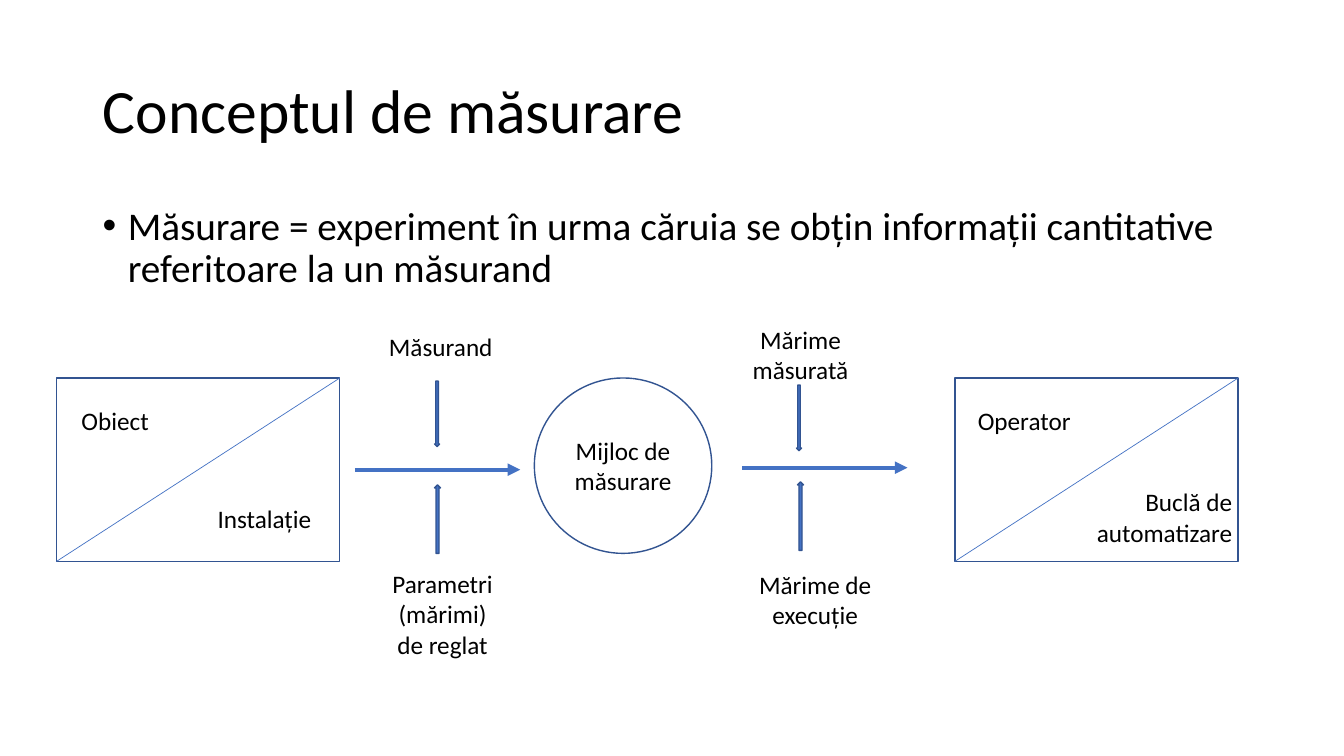
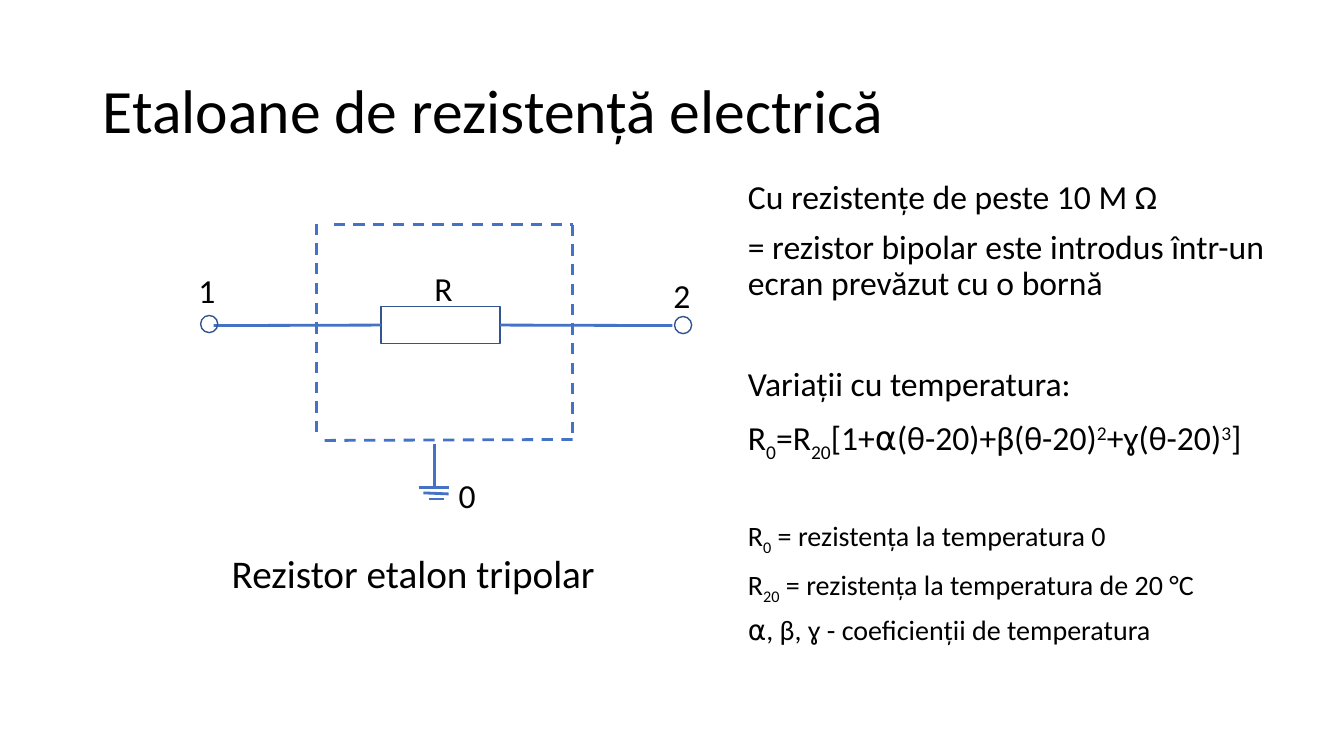
"""Build two slides on the concept of measurement and on resistance standards."""
from lxml import etree
from pptx import Presentation
from pptx.dml.color import RGBColor
from pptx.enum.dml import MSO_LINE
from pptx.enum.shapes import MSO_CONNECTOR, MSO_SHAPE
from pptx.enum.text import MSO_ANCHOR, MSO_AUTO_SIZE, PP_ALIGN
from pptx.oxml.ns import qn
from pptx.util import Inches, Pt

FONT, BLACK, BLUE, DARK_BLUE = "Calibri", "000000", "4472C4", "325491"
LEFT, CENTER, RIGHT = PP_ALIGN.LEFT, PP_ALIGN.CENTER, PP_ALIGN.RIGHT
TITLE_BOX = (0.92, 0.4, 11.5, 1.45)
BODY = {"line_spacing": 0.9}

CONCEPT_TITLE = "Conceptul de măsurare"
DEFINITION = ("Măsurare = experiment în urma căruia se obțin informații cantitative "
              "referitoare la un măsurand")
BLOCK_LEFTS, BLOCK_TOP, BLOCK_SIZE = (0.56, 9.47), 3.75, (2.81, 1.82)
INSTRUMENT = ((5.3, 3.75, 1.76, 1.74), ["Mijloc de", "măsurare"])
FLOWS = [(3.52, 4.66), (7.36, 4.64)]
FLOW_LENGTH = 1.64
CONCEPT_LABELS = [
    ((0.71, 3.97, 0.88, 0.4), ["Obiect"], LEFT),
    ((2.06, 4.94, 1.14, 0.4), ["Instalație"], LEFT),
    ((3.76, 3.24, 1.24, 0.4), ["Măsurand"], LEFT),
    ((7.36, 3.17, 1.16, 0.71), ["Mărime", "măsurată"], CENTER),
    ((3.76, 5.59, 1.26, 1.01), ["Parametri", "(mărimi)", "de reglat"], CENTER),
    ((7.39, 5.6, 1.39, 0.71), ["Mărime de", "execuție"], CENTER),
    ((9.6, 3.97, 1.13, 0.4), ["Operator"], LEFT),
    ((10.7, 4.78, 1.62, 0.71), ["Buclă de", "automatizare"], RIGHT),
]
SMALL_ARROWS = [
    (MSO_SHAPE.DOWN_ARROW, (4.31, 3.78, 0.05, 0.65)),
    (MSO_SHAPE.DOWN_ARROW, (7.9, 3.82, 0.05, 0.65)),
    (MSO_SHAPE.UP_ARROW, (4.31, 4.81, 0.06, 0.68)),
    (MSO_SHAPE.UP_ARROW, (7.91, 4.78, 0.06, 0.68)),
]

STANDARD_TITLE = "Etaloane de rezistență electrică"
RESISTOR = (3.78, 3.04, 1.18, 0.37)
WIRES = [((2.12, 3.23), (3.78, 3.23), 1), ((6.67, 3.23), (4.96, 3.23), 3)]
TERMINALS, TERMINAL_SIZE = [(1.99, 3.13), (6.69, 3.14)], 0.17
SCREEN = [
    ((3.14, 2.22), (3.14, 4.36)),
    ((5.68, 2.23), (5.68, 4.37)),
    ((5.68, 4.36), (3.14, 4.37)),
    ((3.31, 2.23), (5.68, 2.23)),
]
GROUND = [
    ((4.31, 4.4), (4.31, 4.83)),
    ((4.16, 4.84), (4.45, 4.84)),
    ((4.2, 4.89), (4.45, 4.9)),
    ((4.25, 4.95), (4.4, 4.95)),
]
CIRCUIT_LABELS = [
    ((4.21, 2.61, 0.57, 0.5), "R", 24),
    ((1.87, 2.63, 0.57, 0.5), "1", 24),
    ((6.58, 2.68, 0.57, 0.5), "2", 24),
    ((4.45, 4.66, 0.57, 0.5), "0", 24),
    ((2.2, 5.4, 4.65, 0.57), "Rezistor etalon tripolar", 28),
]
SUB, SUP = -25000, 30000
NOTES_BOX = (7.32, 1.74, 5.74, 4.76)
NOTES = [
    ("Cu rezistențe de peste 10 M Ω", 24, 0),
    ("= rezistor bipolar este introdus într-un ecran prevăzut cu o bornă", 24, 10),
    ("Variații cu temperatura:", 24, 46),
    ([("R", 0), ("0", SUB), ("=R", 0), ("20", SUB), ("[1+⍺(θ-20)+β(θ-20)", 0),
      ("2", SUP), ("+ɣ(θ-20)", 0), ("3", SUP), ("]", 0)], 24, 10),
    ([("R", 0), ("0", SUB), (" = rezistența la temperatura 0", 0)], 20, 43),
    ([("R", 0), ("20", SUB), (" = rezistența la temperatura de 20 °C", 0)], 20, 10),
    ("⍺, β, ɣ - coeficienții de temperatura", 20, 10),
]


def rgb(value):
    return RGBColor.from_string(value)


def inches(values):
    return [Inches(v) for v in values]


def set_all(obj, fmt):
    for name, value in fmt.items():
        setattr(obj, name, value)


def write(tf, paragraphs, fmt):
    for i, (runs, size, before) in enumerate(paragraphs):
        p = tf.paragraphs[0] if i == 0 else tf.add_paragraph()
        set_all(p, {"space_before": Pt(before), **fmt})
        for text, baseline in [(runs, 0)] if isinstance(runs, str) else runs:
            r = p.add_run()
            r.text = text
            set_all(r.font, {"name": FONT, "size": Pt(size)})
            r.font.color.rgb = rgb(BLACK)
            if baseline:
                r.font._element.set("baseline", str(baseline))


def add_text(slide, box, paragraphs, fmt, wrap=True):
    tf = slide.shapes.add_textbox(*inches(box)).text_frame
    tf.word_wrap = wrap
    write(tf, paragraphs, fmt)
    return tf


def add_shape(slide, kind, box, fill=None):
    sp = slide.shapes.add_shape(kind, *inches(box))
    sp.shadow.inherit = False
    if fill:
        sp.fill.solid()
        sp.fill.fore_color.rgb = rgb(fill)
    else:
        sp.fill.background()
    sp.line.color.rgb = rgb(DARK_BLUE)
    sp.line.width = Pt(1)
    return sp


def add_line(slide, start, end, width=2, dash=None, arrow=False):
    line = slide.shapes.add_connector(MSO_CONNECTOR.STRAIGHT, *inches(start + end))
    line.line.color.rgb = rgb(BLUE)
    set_all(line.line, {"width": Pt(width), "dash_style": dash})
    if arrow:
        tail = etree.SubElement(line.line._get_or_add_ln(), qn("a:tailEnd"))
        tail.set("type", "triangle")
    etree.SubElement(line._element.spPr, qn("a:effectLst"))
    return line


def add_slide(prs, title):
    s = prs.slides.add_slide(prs.slide_layouts[5])
    sp = s.shapes.title
    set_all(sp, dict(zip(("left", "top", "width", "height"), inches(TITLE_BOX))))
    set_all(sp.text_frame, {"vertical_anchor": MSO_ANCHOR.MIDDLE, "word_wrap": True,
                            "auto_size": MSO_AUTO_SIZE.NONE})
    write(sp.text_frame, [(title, 44, 0)], {"alignment": LEFT, **BODY})
    return s


def build_concept(prs):
    s = add_slide(prs, CONCEPT_TITLE)
    tf = add_text(s, (0.92, 2, 11.5, 1.02), [], {})
    pPr = tf.paragraphs[0]._p.get_or_add_pPr()
    pPr.set("marL", str(Inches(0.25)))
    pPr.set("indent", str(Inches(-0.25)))
    etree.SubElement(pPr, qn("a:buFont")).set("typeface", "Arial")
    etree.SubElement(pPr, qn("a:buChar")).set("char", "•")
    write(tf, [(DEFINITION, 28, 0)], BODY)

    width, height = BLOCK_SIZE
    for left in BLOCK_LEFTS:
        add_shape(s, MSO_SHAPE.RECTANGLE, (left, BLOCK_TOP, width, height))
        add_line(s, (left, BLOCK_TOP + height), (left + width, BLOCK_TOP), 0.5)
    box, lines = INSTRUMENT
    tf = add_shape(s, MSO_SHAPE.OVAL, box).text_frame
    set_all(tf, {"margin_left": 0, "margin_right": 0, "word_wrap": True,
                 "vertical_anchor": MSO_ANCHOR.MIDDLE})
    write(tf, [(text, 18, 0) for text in lines], {"alignment": CENTER})
    for x, y in FLOWS:
        add_line(s, (x, y), (x + FLOW_LENGTH, y), 3, arrow=True)
    for box, lines, align in CONCEPT_LABELS:
        add_text(s, box, [(text, 18, 0) for text in lines], {"alignment": align}, False)
    for kind, box in SMALL_ARROWS:
        add_shape(s, kind, box, BLUE)


def build_standard(prs):
    s = add_slide(prs, STANDARD_TITLE)
    resistor = add_shape(s, MSO_SHAPE.RECTANGLE, RESISTOR)
    for start, end, side in WIRES:
        add_line(s, start, end).end_connect(resistor, side)
    for left, top in TERMINALS:
        add_shape(s, MSO_SHAPE.FLOWCHART_CONNECTOR,
                  (left, top, TERMINAL_SIZE, TERMINAL_SIZE))
    for start, end in SCREEN:
        add_line(s, start, end, dash=MSO_LINE.DASH)
    for start, end in GROUND:
        add_line(s, start, end)
    for box, text, size in CIRCUIT_LABELS:
        add_text(s, box, [(text, size, 0)], {})
    add_text(s, NOTES_BOX, NOTES, BODY)


def main():
    prs = Presentation()
    set_all(prs, {"slide_width": Inches(13.33), "slide_height": Inches(7.5)})
    build_concept(prs)
    build_standard(prs)
    prs.save("out.pptx")


if __name__ == "__main__":
    main()
